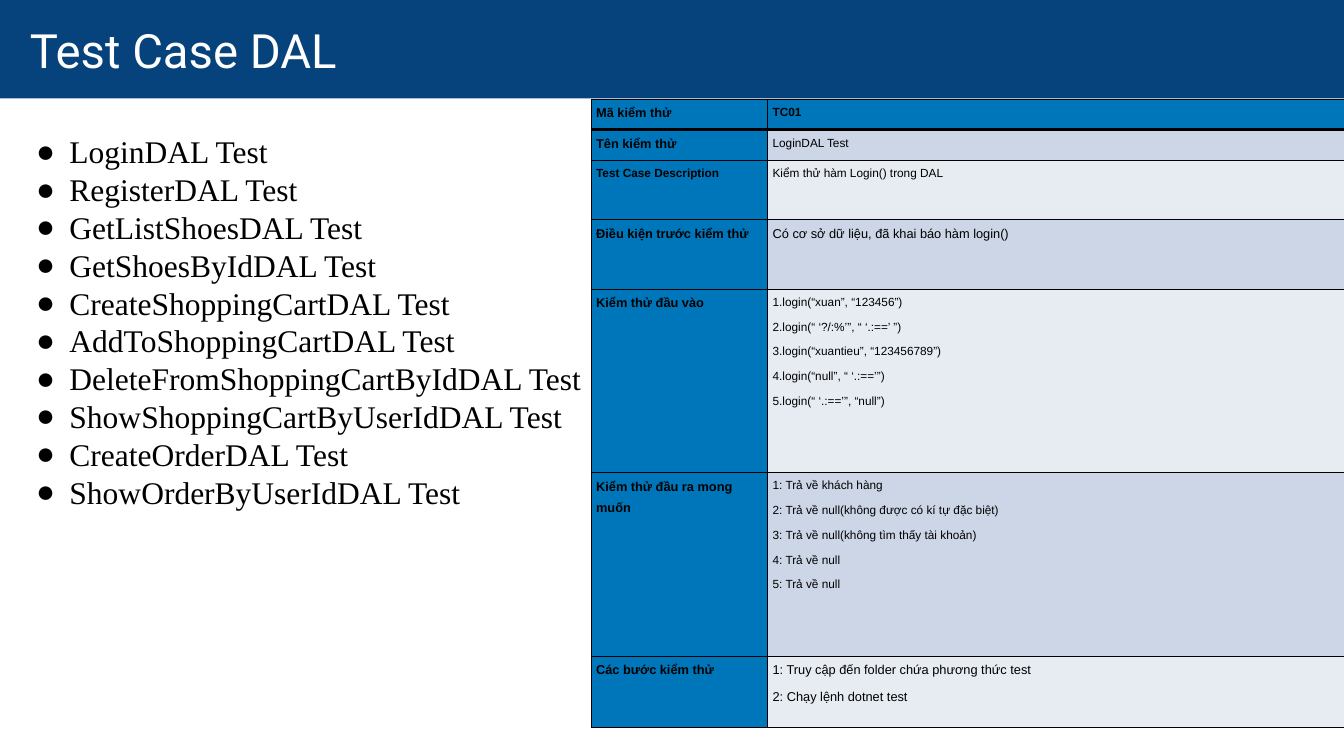
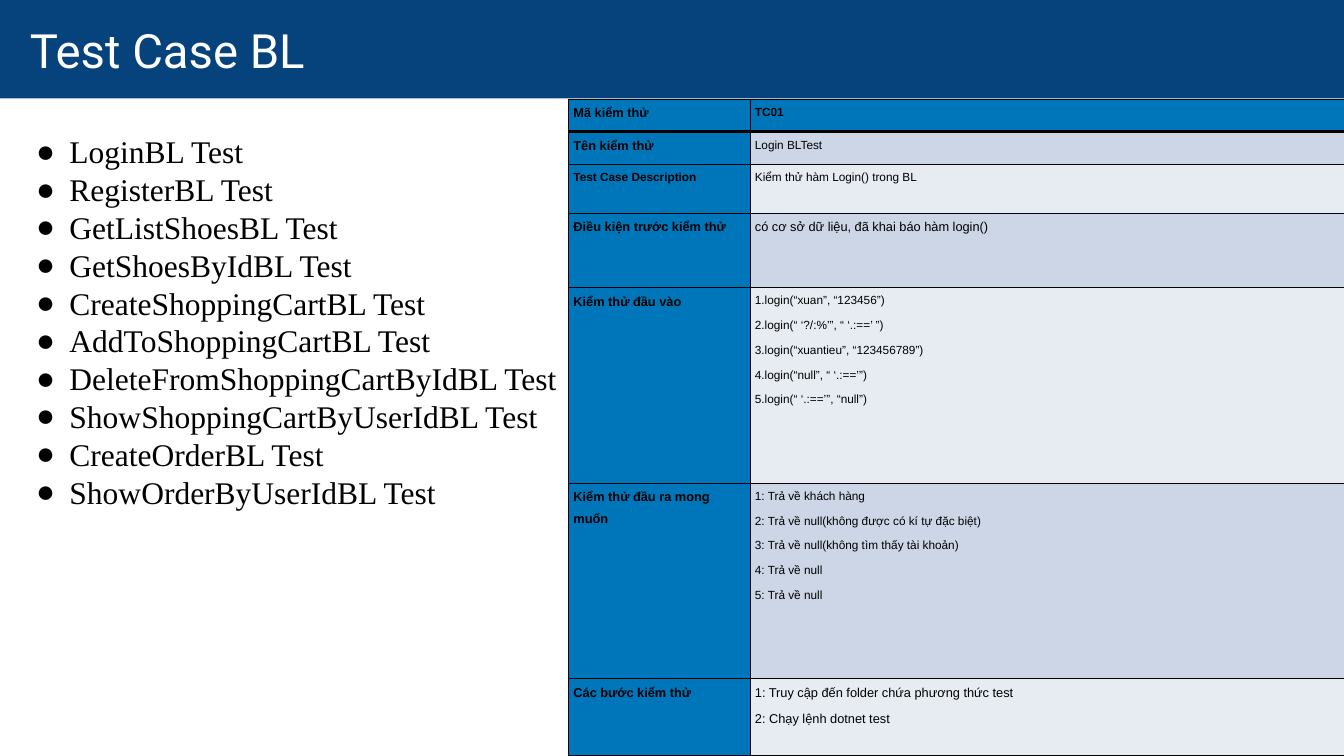
from pptx import Presentation
from pptx.dml.color import RGBColor
from pptx.enum.text import MSO_ANCHOR, MSO_AUTO_SIZE, PP_ALIGN
from pptx.util import Inches, Pt
from pptx.oxml.ns import qn
from lxml.etree import SubElement

WIDTH, HEIGHT = 18.96, 10.67
BAND = 1.39

TESTS = ["Login", "Register", "GetListShoes", "GetShoesById",
         "CreateShoppingCart", "AddToShoppingCart",
         "DeleteFromShoppingCartById", "ShowShoppingCartByUserId",
         "CreateOrder", "ShowOrderByUserId"]

INPUTS = """1.login(“xuan”, “123456”)
2.login(“ ‘?/:%’”, “ ‘.:==’ ”)
3.login(“xuantieu”, “123456789”)
4.login(“null”, “ ‘.:==’”)
5.login(“ ‘.:==’”, “null”)"""

RESULTS = """1: Trả về khách hàng
2: Trả về null(không được có kí tự đặc biệt)
3: Trả về null(không tìm thấy tài khoản)
4: Trả về null
5: Trả về null"""

STEPS = """1: Truy cập đến folder chứa phương thức test
2: Chạy lệnh dotnet test"""

# Per slide: layer, test name, precondition, column widths, row heights
SLIDES = [
    ("DAL", "LoginDAL Test", "Có cơ sở dữ liệu, đã khai báo hàm login()",
     [2.49, 8.13], [0.43, 0.43, 0.84, 0.98, 2.59, 2.59, 1.01]),
    ("BL", "Login BLTest", "có cơ sở dữ liệu, đã khai báo hàm login()",
     [2.56, 8.38], [0.46, 0.46, 0.69, 1.05, 2.76, 2.76, 1.08]),
]


def color(code):
    return RGBColor.from_string(code)


class Deck:
    NAVY, BLUE, BLACK, WHITE = "06427B", "0076BA", "000000", "FFFFFF"
    STRIPES = ["E7ECF3", "CCD6E7"]

    def __init__(self):
        self.show = Presentation()
        self.show.slide_width = Inches(WIDTH)
        self.show.slide_height = Inches(HEIGHT)
        self.slide = None

    def start(self):
        self.slide = self.show.slides.add_slide(self.show.slide_layouts[1])

    def place(self, shape, box, inset):
        shape.left, shape.top, shape.width, shape.height = map(Inches, box)
        frame = shape.text_frame
        frame.auto_size = MSO_AUTO_SIZE.NONE
        frame.word_wrap = True
        frame.margin_left = frame.margin_right = Inches(inset)
        frame.margin_top = frame.margin_bottom = Inches(inset)
        return frame

    def style(self, para, face, size, code, bold=False):
        para.alignment = PP_ALIGN.LEFT
        font = para.font
        font.name, font.size, font.bold = face, Pt(size), bold
        font.color.rgb = color(code)

    def indent(self, para, margin, first):
        props = para._p.get_or_add_pPr()
        props.set("marL", str(Inches(margin)))
        props.set("indent", str(Inches(first)))
        return props

    def title(self, text):
        shape = self.slide.shapes.title
        frame = self.place(shape, (0, 0, WIDTH, BAND), 0)
        shape.fill.solid()
        shape.fill.fore_color.rgb = color(self.NAVY)
        frame.vertical_anchor = MSO_ANCHOR.MIDDLE
        frame.text = text
        para = frame.paragraphs[0]
        self.indent(para, 0, 0.42)
        self.style(para, "Roboto", 48, self.WHITE)

    def bullets(self, items):
        shape = self.slide.placeholders[1]
        frame = self.place(shape, (0.42, 1.81, 18.12, 8.47), 0.06)
        frame.vertical_anchor = MSO_ANCHOR.TOP
        frame.text = "\n".join(items)
        for para in frame.paragraphs:
            props = self.indent(para, 0.5, -0.47)
            tint = SubElement(props, qn("a:buClr"))
            SubElement(tint, qn("a:srgbClr"), val=self.BLACK)
            SubElement(props, qn("a:buFont"), typeface="Arial")
            SubElement(props, qn("a:buChar"), char="●")
            para.space_before = Pt(0)
            para.line_spacing = Pt(38.4)
            self.style(para, "Times New Roman", 32, self.BLACK)

    def border(self, cell, row):
        props = cell._tc.get_or_add_tcPr()
        # The rule under the header row is thicker
        widths = {"L": 1, "R": 1, "T": 3 if row == 1 else 1,
                  "B": 3 if row == 0 else 1}
        for side, width in widths.items():
            line = SubElement(props, qn("a:ln" + side), w=str(Pt(width)))
            fill = SubElement(line, qn("a:solidFill"))
            SubElement(fill, qn("a:srgbClr"), val=self.BLACK)

    def cell(self, cell, row, text, size, head):
        self.border(cell, row)
        cell.fill.solid()
        cell.fill.fore_color.rgb = color(
            self.BLUE if head else self.STRIPES[row % 2])
        cell.margin_left = cell.margin_right = Inches(0.07)
        cell.margin_top = cell.margin_bottom = 0
        cell.vertical_anchor = MSO_ANCHOR.TOP
        cell.text = text
        for para in cell.text_frame.paragraphs:
            para.line_spacing = 1.5
            para.space_before = Pt(5)
            self.style(para, "Arial", size, self.BLACK, head)

    def table(self, rows, widths, heights):
        wide, tall = sum(widths), sum(heights)
        table = self.slide.shapes.add_table(
            len(rows), len(widths), Inches(WIDTH - wide), Inches(1.4),
            Inches(wide), Inches(tall)).table
        for column, width in zip(table.columns, widths):
            column.width = Inches(width)
        for r, (label, big, value, size) in enumerate(rows):
            table.rows[r].height = Inches(heights[r])
            self.cell(table.cell(r, 0), r, label, big, True)
            self.cell(table.cell(r, 1), r, value, size, r == 0)


def main():
    deck = Deck()
    for layer, name, needs, widths, heights in SLIDES:
        deck.start()
        deck.title(f"Test Case {layer}")
        deck.bullets([f"{test}{layer} Test" for test in TESTS])
        # Label, its size, value, its size
        deck.table([
            ("Mã kiểm thử", 13, "TC01", 12),
            ("Tên kiểm thử", 13, name, 12),
            ("Test Case Description", 12,
             f"Kiểm thử hàm Login() trong {layer}", 12),
            ("Điều kiện trước kiểm thử", 13, needs, 13),
            ("Kiểm thử đầu vào", 13, INPUTS, 12),
            ("Kiểm thử đầu ra mong muốn", 13, RESULTS, 12),
            ("Các bước kiểm thử", 13, STEPS, 13),
        ], widths, heights)
    deck.show.save("out.pptx")


if __name__ == "__main__":
    main()
